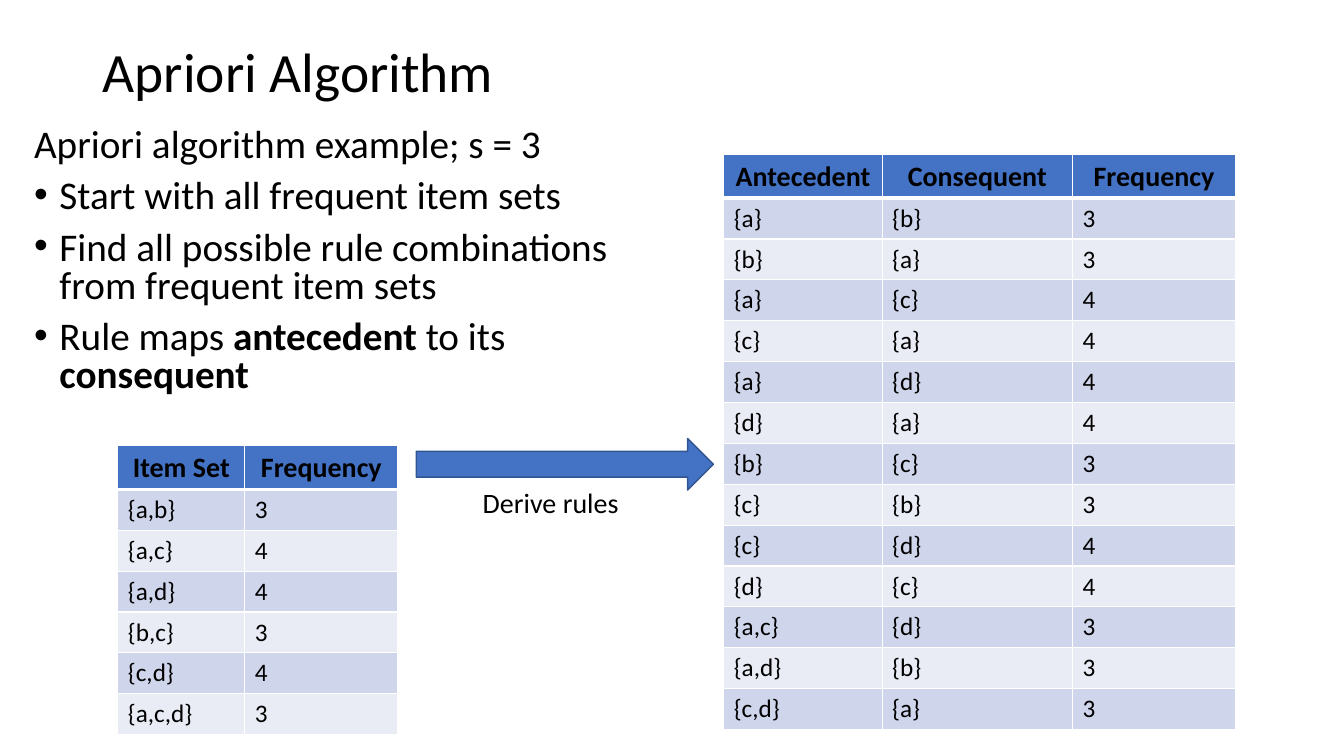
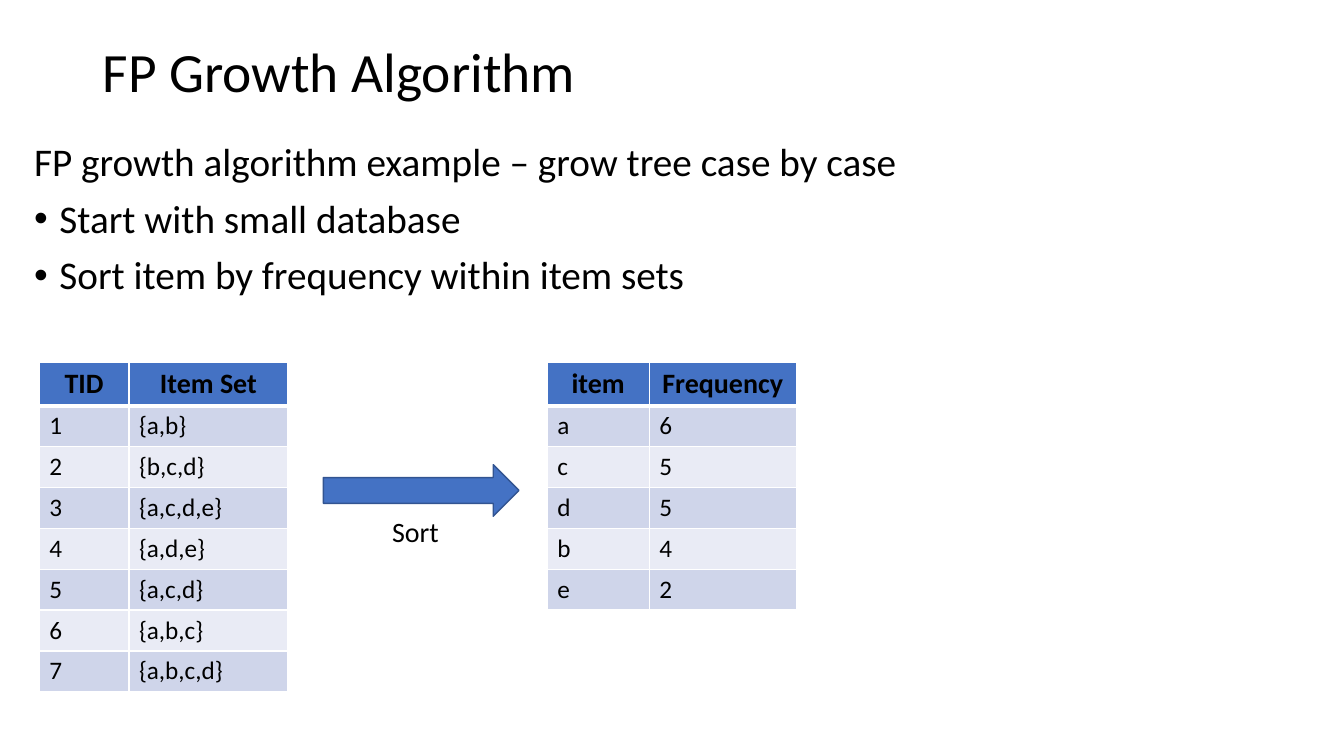
import lxml.etree
import pptx
import pptx.dml.color
import pptx.enum.shapes
import pptx.enum.text
import pptx.oxml.ns
import pptx.util

Cm = pptx.util.Cm
Pt = pptx.util.Pt
RGBColor = pptx.dml.color.RGBColor
Align = pptx.enum.text.PP_ALIGN
Anchor = pptx.enum.text.MSO_ANCHOR
qn = pptx.oxml.ns.qn

FONT = "Calibri"
BLACK = RGBColor(0x00, 0x00, 0x00)
WHITE = RGBColor(0xFF, 0xFF, 0xFF)
BLUE = RGBColor(0x44, 0x72, 0xC4)
DARK_BLUE = RGBColor(0x32, 0x54, 0x91)
ODD_BAND = RGBColor(0xCF, 0xD5, 0xEA)
EVEN_BAND = RGBColor(0xE9, 0xEB, 0xF5)

HEADER_HEIGHT = 1.1
ROW_HEIGHT = 1.03
ARROW_HEIGHT = 1.3
BULLET_INDENT = Cm(0.64)


def format_runs(paragraph, size, bold=False):
    for run in paragraph.runs:
        run.font.name = FONT
        run.font.size = Pt(size)
        run.font.bold = bold
        run.font.color.rgb = BLACK


def add_text_box(slide, left, top, width, height):
    box = slide.shapes.add_textbox(Cm(left), Cm(top), Cm(width), Cm(height))
    box.text_frame.word_wrap = True
    return box.text_frame


def add_title(slide, text):
    frame = add_text_box(slide, 2.34, 1.02, 29.21, 1.73)
    frame.vertical_anchor = Anchor.MIDDLE
    frame.text = text
    frame.paragraphs[0].line_spacing = 0.9
    format_runs(frame.paragraphs[0], 39.6)


def add_bullet(paragraph):
    properties = paragraph._p.get_or_add_pPr()
    properties.set("marL", str(BULLET_INDENT))
    properties.set("indent", str(-BULLET_INDENT))
    font = lxml.etree.SubElement(properties, qn("a:buFont"))
    font.set("typeface", "Arial")
    bullet = lxml.etree.SubElement(properties, qn("a:buChar"))
    bullet.set("char", "•")


def add_body(slide, top, width, height, line_spacing, lead, bullets):
    frame = add_text_box(slide, 0.61, top, width, height)
    for index, text in enumerate([lead, *bullets]):
        paragraph = frame.paragraphs[0] if index == 0 else frame.add_paragraph()
        paragraph.line_spacing = line_spacing
        paragraph.space_before = Pt(10)
        if index > 0:
            add_bullet(paragraph)
        for position, part in enumerate(text.split("*")):
            if part:
                run = paragraph.add_run()
                run.text = part
        format_runs(paragraph, 28)
        if "*" in text:
            for run in paragraph.runs[1::2]:
                run.font.bold = True


def add_borders(cell, top_width, bottom_width):
    properties = cell._tc.get_or_add_tcPr()
    widths = {"lnL": 1, "lnR": 1, "lnT": top_width, "lnB": bottom_width}
    for side, width in widths.items():
        line = lxml.etree.SubElement(properties, qn(f"a:{side}"))
        line.set("w", str(Pt(width)))
        fill = lxml.etree.SubElement(line, qn("a:solidFill"))
        lxml.etree.SubElement(fill, qn("a:srgbClr")).set("val", str(WHITE))


def fill_cell(cell, text, row_index):
    is_header = row_index == 0
    add_borders(cell, 3 if row_index == 1 else 1, 3 if is_header else 1)
    cell.fill.solid()
    band = ODD_BAND if row_index % 2 else EVEN_BAND
    cell.fill.fore_color.rgb = BLUE if is_header else band
    cell.text_frame.text = text
    paragraph = cell.text_frame.paragraphs[0]
    paragraph.alignment = Align.CENTER if is_header else Align.LEFT
    format_runs(paragraph, 20 if is_header else 18, is_header)


def add_data_table(slide, left, top, column_widths, rows):
    height = HEADER_HEIGHT + ROW_HEIGHT * (len(rows) - 1)
    table = slide.shapes.add_table(
        len(rows), len(column_widths),
        Cm(left), Cm(top), Cm(sum(column_widths)), Cm(height),
    ).table
    for column, width in zip(table.columns, column_widths):
        column.width = Cm(width)
    for row_index, values in enumerate(rows):
        table.rows[row_index].height = Cm(ROW_HEIGHT if row_index else HEADER_HEIGHT)
        for column_index, value in enumerate(values):
            fill_cell(table.cell(row_index, column_index), value, row_index)


def add_arrow(slide, left, top, width):
    arrow = slide.shapes.add_shape(
        pptx.enum.shapes.MSO_SHAPE.RIGHT_ARROW,
        Cm(left), Cm(top), Cm(width), Cm(ARROW_HEIGHT),
    )
    arrow.shadow.inherit = False
    arrow.fill.solid()
    arrow.fill.fore_color.rgb = BLUE
    arrow.line.color.rgb = DARK_BLUE
    arrow.line.width = Pt(1)


def add_label(slide, left, top, width, text, alignment):
    frame = add_text_box(slide, left, top, width, 1.12)
    frame.text = text
    frame.paragraphs[0].alignment = alignment
    format_runs(frame.paragraphs[0], 20)


def add_titled_slide(presentation, title):
    slide = presentation.slides.add_slide(presentation.slide_layouts[6])
    add_title(slide, title)
    return slide


def build_apriori_slide(presentation):
    slide = add_titled_slide(presentation, "Apriori Algorithm")
    add_body(slide, 3.1, 15.44, 7.67, 0.8, "Apriori algorithm example; s = 3", [
        "Start with all frequent item sets",
        "Find all possible rule combinations from frequent item sets",
        "Rule maps *antecedent* to its *consequent*",
    ])
    add_data_table(slide, 2.97, 11.23, [3.2, 3.86], [
        ("Item Set", "Frequency"),
        ("{a,b}", "3"),
        ("{a,c}", "4"),
        ("{a,d}", "4"),
        ("{b,c}", "3"),
        ("{c,d}", "4"),
        ("{a,c,d}", "3"),
    ])
    add_data_table(slide, 18.24, 3.89, [3.99, 4.8, 4.11], [
        ("Antecedent", "Consequent", "Frequency"),
        ("{a}", "{b}", "3"),
        ("{b}", "{a}", "3"),
        ("{a}", "{c}", "4"),
        ("{c}", "{a}", "4"),
        ("{a}", "{d}", "4"),
        ("{d}", "{a}", "4"),
        ("{b}", "{c}", "3"),
        ("{c}", "{b}", "3"),
        ("{c}", "{d}", "4"),
        ("{d}", "{c}", "4"),
        ("{a,c}", "{d}", "3"),
        ("{a,d}", "{b}", "3"),
        ("{c,d}", "{a}", "3"),
    ])
    add_arrow(slide, 10.49, 11.05, 7.49)
    add_label(slide, 10.82, 12.12, 6.12, "Derive rules", Align.CENTER)


def build_fp_growth_slide(presentation):
    slide = add_titled_slide(presentation, "FP Growth Algorithm")
    lead = "FP growth algorithm example – grow tree case by case"
    add_body(slide, 3.48, 30.05, 4.45, 0.9, lead, [
        "Start with small database",
        "Sort item by frequency within item sets",
    ])
    add_data_table(slide, 0.99, 9.12, [2.26, 4.01], [
        ("TID", "Item Set"),
        ("1", "{a,b}"),
        ("2", "{b,c,d}"),
        ("3", "{a,c,d,e}"),
        ("4", "{a,d,e}"),
        ("5", "{a,c,d}"),
        ("6", "{a,b,c}"),
        ("7", "{a,b,c,d}"),
    ])
    add_data_table(slide, 13.79, 9.12, [2.57, 3.71], [
        ("item", "Frequency"),
        ("a", "6"),
        ("c", "5"),
        ("d", "5"),
        ("b", "4"),
        ("e", "2"),
    ])
    add_arrow(slide, 8.15, 11.71, 4.93)
    add_label(slide, 9.63, 12.85, 1.98, "Sort", Align.LEFT)


def main():
    presentation = pptx.Presentation()
    presentation.slide_width = Cm(33.87)
    presentation.slide_height = Cm(19.05)
    build_apriori_slide(presentation)
    build_fp_growth_slide(presentation)
    presentation.save("out.pptx")


if __name__ == "__main__":
    main()
